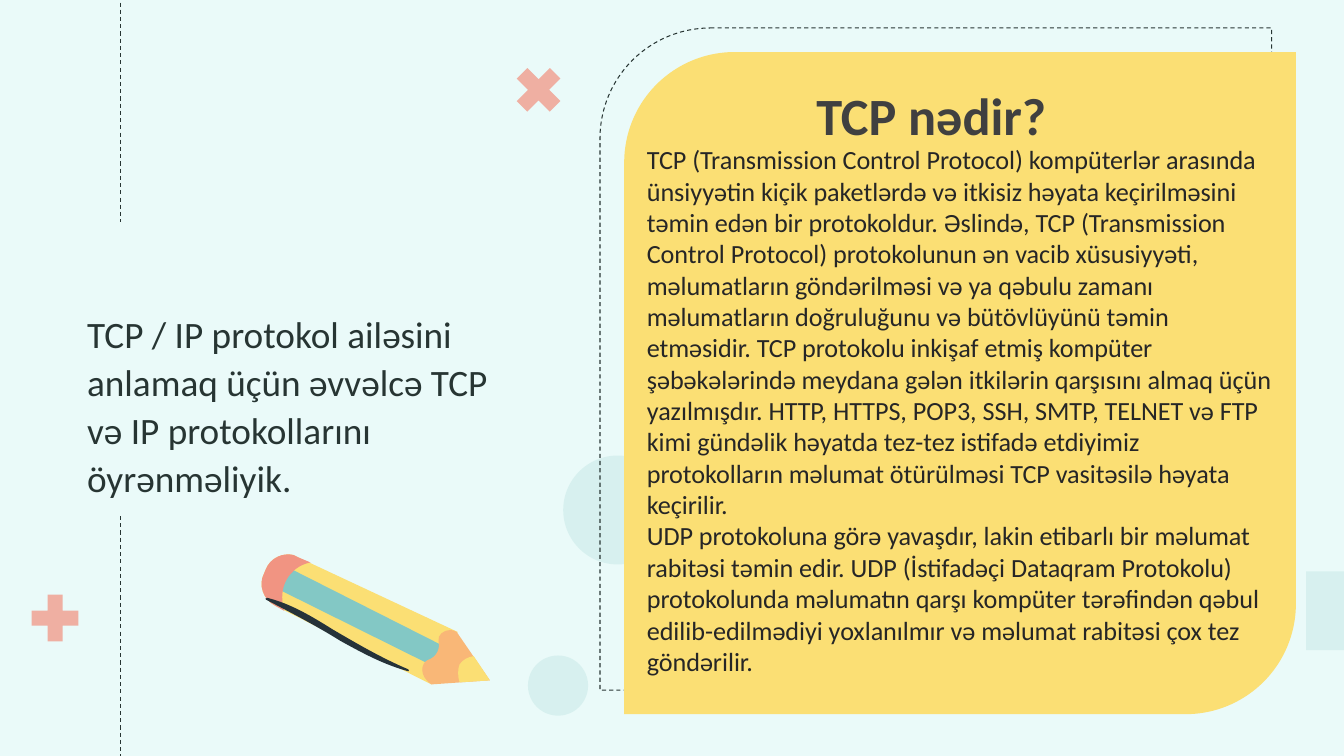
import pptx
import pptx.dml.color
import pptx.enum.dml
import pptx.enum.shapes
import pptx.enum.text
import pptx.oxml.ns
import pptx.util
from lxml import etree

Pt = pptx.util.Pt
RGBColor = pptx.dml.color.RGBColor
SHAPES = pptx.enum.shapes.MSO_SHAPE
ANCHOR = pptx.enum.text.MSO_ANCHOR
AUTO_SIZE = pptx.enum.text.MSO_AUTO_SIZE
qn = pptx.oxml.ns.qn

BACKGROUND = RGBColor(0xEA, 0xFA, 0xF9)
YELLOW = RGBColor(0xFB, 0xDF, 0x74)
TEAL = RGBColor(0x83, 0xC8, 0xC5)
CORAL = RGBColor(0xF1, 0x94, 0x82)
WOOD = RGBColor(0xF9, 0xB7, 0x77)
INK = RGBColor(0x27, 0x35, 0x33)
SHADE = RGBColor(0x26, 0x32, 0x39)
BODY_GRAY = RGBColor(0x26, 0x26, 0x26)
HEADING_GRAY = RGBColor(0x40, 0x40, 0x40)

STATEMENT = "TCP / IP protokol ailəsini anlamaq üçün əvvəlcə TCP və IP protokollarını öyrənməliyik."
HEADING = "TCP nədir?"
EXPLANATION = [
    "TCP (Transmission Control Protocol) kompüterlər arasında ünsiyyətin kiçik paketlərdə və "
    "itkisiz həyata keçirilməsini təmin edən bir protokoldur. Əslində, TCP (Transmission Control "
    "Protocol) protokolunun ən vacib xüsusiyyəti, məlumatların göndərilməsi və ya qəbulu zamanı "
    "məlumatların doğruluğunu və bütövlüyünü təmin etməsidir. TCP protokolu inkişaf etmiş kompüter "
    "şəbəkələrində meydana gələn itkilərin qarşısını almaq üçün yazılmışdır. HTTP, HTTPS, POP3, "
    "SSH, SMTP, TELNET və FTP kimi gündəlik həyatda tez-tez istifadə etdiyimiz protokolların "
    "məlumat ötürülməsi TCP vasitəsilə həyata keçirilir.",
    "UDP protokoluna görə yavaşdır, lakin etibarlı bir məlumat rabitəsi təmin edir. UDP "
    "(İstifadəçi Dataqram Protokolu) protokolunda məlumatın qarşı kompüter tərəfindən qəbul "
    "edilib-edilmədiyi yoxlanılmır və məlumat rabitəsi çox tez göndərilir.",
]

ERASER_ROUND = [
    (187.9, 428.4, 184.3, 417.6, 188.6, 409.7), (190.1, 406.1),
    (193, 399.6, 199.4, 396, 205.9, 396),
]
PENCIL_PARTS = [
    (YELLOW, (205.9, 396), [
        (208.8, 396, 211, 396.7, 213.1, 398.2), (326.9, 451.4), (308.2, 488.9),
        (196.6, 432.7), *ERASER_ROUND]),
    (TEAL, (205.9, 405.4), [(318.2, 462.2), (311, 476.6), (198, 420.5), (205.9, 405.4)]),
    (WOOD, (321.8, 450), [
        (323.3, 450, 324.7, 450.7, 326.2, 451.4), (349.9, 486), (308.2, 488.9),
        (298.8, 482.4, 301, 473.8, 305.3, 471.6),
        (311.8, 469.4, 314.6, 463.7, 313.2, 457.9),
        (312.5, 453.6, 316.8, 450, 321.8, 450)]),
    (YELLOW, (338.4, 468.7), [
        (349.9, 486), (328.3, 487.4), (326.9, 483.1, 326.9, 478.1, 328.3, 474.5),
        (331.2, 470.9, 334.1, 469.4, 338.4, 468.7)]),
    (CORAL, (205.9, 396), [
        (208.8, 396, 211, 396.7, 213.1, 398.2), (221.8, 401.8),
        (210.2, 403.9, 201.6, 414, 201.6, 426.2),
        (201.6, 429.1, 201.6, 433.4, 203, 436.3), (196.6, 432.7), *ERASER_ROUND]),
    (SHADE, (190.8, 427), [
        (208.1, 431.3, 223.2, 440.6, 238.3, 450),
        (255.6, 460.1, 272.9, 470.2, 291.6, 478.1),
        (292.3, 478.8, 292.3, 479.5, 291.6, 479.5),
        (273.6, 474.5, 259.2, 466.6, 243.4, 457.9),
        (226.1, 447.1, 208.1, 437.8, 190.1, 428.4),
        (189.4, 428.4, 189.4, 427, 190.8, 427)]),
]


def bend(shape, segments):
    lines = iter(list(shape._element.iter(qn("a:lnTo"))))
    for segment in segments:
        first = next(lines)
        if len(segment) == 2:
            continue
        first.tag = qn("a:cubicBezTo")
        for line in (next(lines), next(lines)):
            first.append(line[0])
            line.getparent().remove(line)


class SlideBuilder:
    font_name = "Calibri"
    line_width = 0.75

    def __init__(self, slide):
        self.slide = slide
        slide.background.fill.solid()
        slide.background.fill.fore_color.rgb = BACKGROUND

    def paint(self, shape, color, opacity=100):
        shape.shadow.inherit = False
        shape.line.fill.background()
        shape.fill.solid()
        shape.fill.fore_color.rgb = color
        if opacity < 100:
            color_element = shape.fill._xPr.find(qn("a:solidFill"))[0]
            etree.SubElement(color_element, qn("a:alpha")).set("val", str(opacity * 1000))

    def dash(self, line):
        line.color.rgb = INK
        line.width = Pt(self.line_width)
        line.dash_style = pptx.enum.dml.MSO_LINE.DASH

    def filled(self, kind, box, color, opacity=100):
        shape = self.slide.shapes.add_shape(kind, *map(Pt, box))
        self.paint(shape, color, opacity)

    def outlined(self, kind, box):
        shape = self.slide.shapes.add_shape(kind, *map(Pt, box))
        shape.shadow.inherit = False
        shape.fill.background()
        self.dash(shape.line)

    def vertical_line(self, x, top, bottom):
        connector = self.slide.shapes.add_connector(
            pptx.enum.shapes.MSO_CONNECTOR.STRAIGHT, Pt(x), Pt(top), Pt(x), Pt(bottom))
        self.dash(connector.line)
        etree.SubElement(connector._element.spPr, qn("a:effectLst"))

    def drawing(self, parts):
        group = self.slide.shapes.add_group_shape()
        for color, start, segments in parts:
            points = [
                (Pt(segment[i]), Pt(segment[i + 1]))
                for segment in segments for i in range(0, len(segment), 2)]
            builder = group.shapes.build_freeform(*map(Pt, start))
            builder.add_line_segments(points, close=True)
            shape = builder.convert_to_shape()
            bend(shape, segments)
            self.paint(shape, color)

    def text(self, box, paragraphs, size, color, bold=False, wrap=True, line_spacing=None):
        frame = self.slide.shapes.add_textbox(*map(Pt, box)).text_frame
        frame.word_wrap = wrap
        frame.auto_size = AUTO_SIZE.SHAPE_TO_FIT_TEXT
        frame.text = "\n".join(paragraphs)
        for paragraph in frame.paragraphs:
            paragraph.line_spacing = line_spacing
            paragraph.font.name = self.font_name
            paragraph.font.size = Pt(size)
            paragraph.font.bold = bold
            paragraph.font.color.rgb = color
        return frame


def main():
    presentation = pptx.Presentation()
    presentation.slide_width = Pt(960)
    presentation.slide_height = Pt(540)
    builder = SlideBuilder(presentation.slides.add_slide(presentation.slide_layouts[6]))

    builder.filled(SHAPES.OVAL, (402.3, 325.4, 77.8, 77.8), TEAL, 18)
    builder.outlined(SHAPES.ROUND_2_DIAG_RECTANGLE, (428.6, 20, 479.8, 473))
    builder.filled(SHAPES.ROUND_2_DIAG_RECTANGLE, (445.9, 37.2, 479.8, 473), YELLOW)
    builder.vertical_line(86.4, -13.7, 158.4)
    builder.vertical_line(86.4, 368.6, 581)
    builder.filled(SHAPES.OVAL, (377.1, 468.2, 43, 43), TEAL, 18)
    builder.filled(SHAPES.RECTANGLE, (932.9, 408.2, 56.2, 56.2), TEAL, 18)
    builder.filled(SHAPES.MATH_PLUS, (16.7, 418.8, 45.4, 45.4), CORAL, 73)
    builder.filled(SHAPES.MATH_MULTIPLY, (362, 41.5, 45.4, 45.4), CORAL, 73)

    statement = builder.text(
        (52.6, 247.7, 309.6, 159.1), [STATEMENT], 26.67, INK, line_spacing=1.07)
    statement.auto_size = AUTO_SIZE.NONE
    statement.vertical_anchor = ANCHOR.BOTTOM
    statement.margin_left = statement.margin_right = statement.margin_top = Pt(9.6)
    statement.margin_bottom = Pt(49.7)

    builder.drawing(PENCIL_PARTS)
    builder.text((455, 99.1, 463, 391.7), EXPLANATION, 18.67, BODY_GRAY)
    builder.text((576, 56.2, 181.4, 52.6), [HEADING], 37.33, HEADING_GRAY, bold=True, wrap=False)

    presentation.save("out.pptx")


if __name__ == "__main__":
    main()
